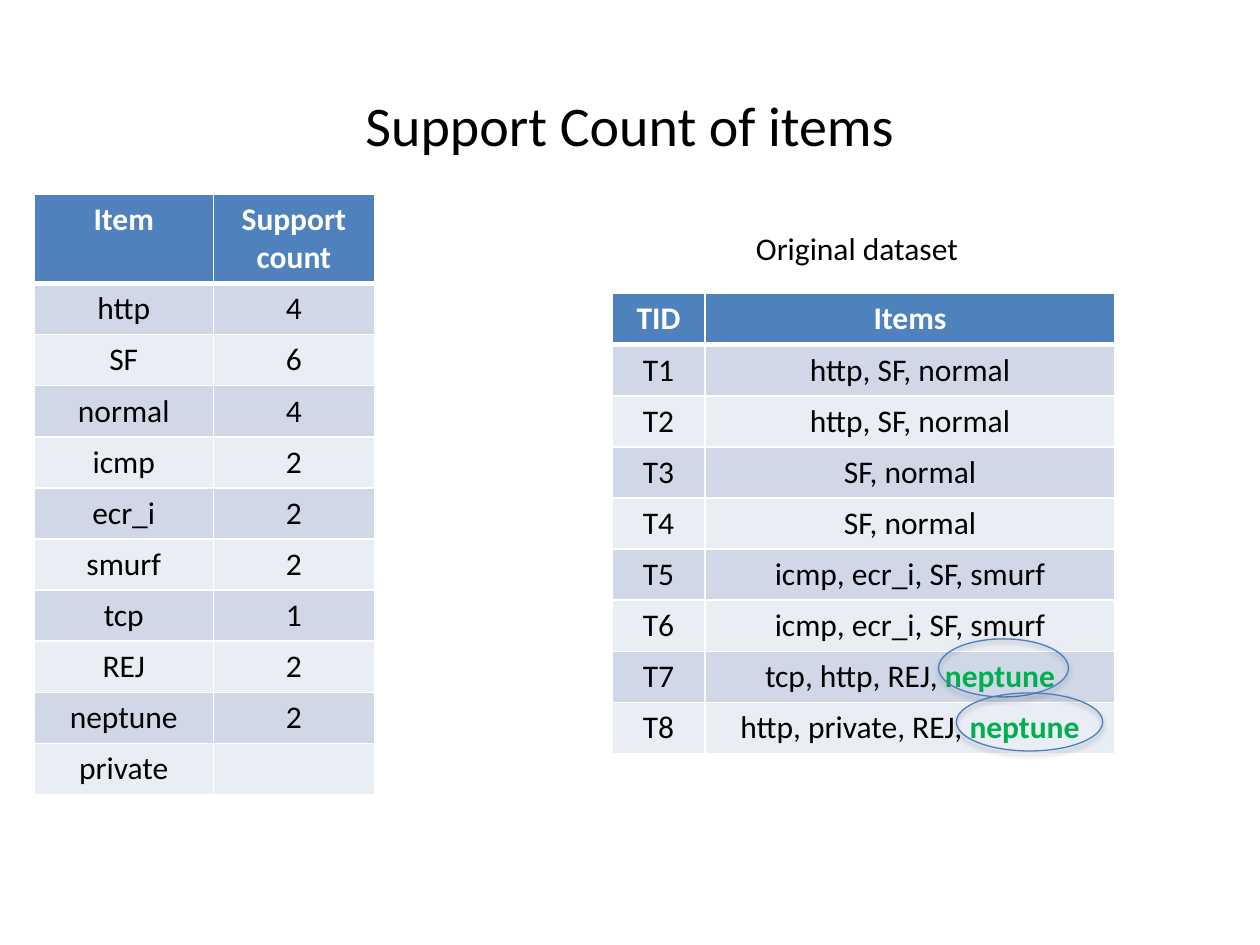
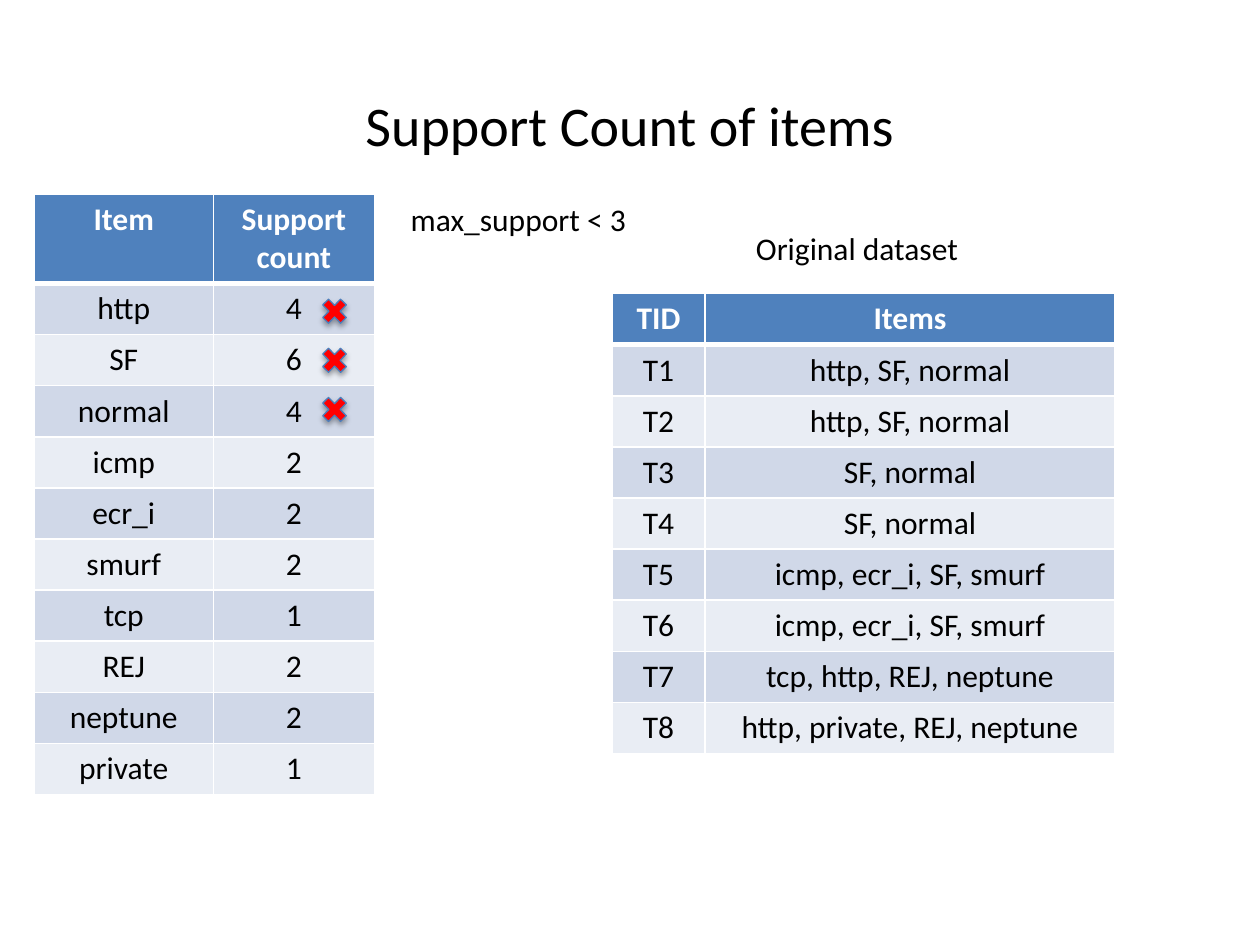
from dataclasses import dataclass
from typing import Any

from lxml.etree import SubElement
from pptx import Presentation
from pptx.dml.color import RGBColor
from pptx.enum.shapes import MSO_SHAPE
from pptx.enum.text import MSO_ANCHOR, MSO_AUTO_SIZE, PP_ALIGN
from pptx.oxml import parse_xml
from pptx.oxml.ns import nsdecls, qn
from pptx.util import Cm, Pt

# Shared look
BLACK, WHITE, RED, GREEN = "000000", "FFFFFF", "FF0000", "00B050"
HEADER_FILL, OUTLINE = "4F81BD", "4B7EBC"
BAND_FILLS = ("D0D8E8", "E9EDF4")
BODY = {"name": "Calibri", "size": Pt(18), "bold": False}
STRONG = BODY | {"bold": True}
HEADING = BODY | {"size": Pt(32)}
ROW_HEIGHT = 1.03
THIN, THICK = 1, 3


@dataclass(frozen=True)
class Grid:
    left: float
    top: float
    widths: tuple[float, ...]
    header_height: float
    rows: list[tuple[str, ...]]


@dataclass(frozen=True)
class Label:
    text: str
    left: float
    top: float
    width: float


@dataclass(frozen=True)
class Mark:
    shape: Any
    left: float
    top: float
    width: float
    height: float
    fill: str | None = None


# Content
TITLE = "Support Count of items"
SUPPORT_ROWS = [
    ("Item", "Support count"), ("http", "4"), ("SF", "6"), ("normal", "4"),
    ("icmp", "2"), ("ecr_i", "2"), ("smurf", "2"), ("tcp", "1"),
    ("REJ", "2"), ("neptune", "2"),
]
TRANSACTIONS = [
    "http, SF, normal", "http, SF, normal", "SF, normal", "SF, normal",
    "icmp, ecr_i, SF, smurf", "icmp, ecr_i, SF, smurf",
    "tcp, http, REJ, neptune", "http, private, REJ, neptune",
]
DATASET = Grid(
    12.34, 5.92, (1.87, 8.27), ROW_HEIGHT,
    [("TID", "Items")] + [(f"T{n}", items) for n, items in enumerate(TRANSACTIONS, 1)],
)
DATASET_LABEL = Label("Original dataset", 14.99, 4.5, 6.86)
THRESHOLD_LABEL = Label("max_support < 3", 8.03, 3.91, 5.08)
NEPTUNE_RINGS = [
    Mark(MSO_SHAPE.OVAL, 18.92, 12.88, 2.62, 1.17),
    Mark(MSO_SHAPE.OVAL, 19.28, 13.97, 2.95, 1.17),
]
REJECTED_CROSSES = [
    Mark(MSO_SHAPE.MATH_MULTIPLY, 6.4, 5.92 + 0.99 * row, 0.69, 0.71, RED)
    for row in range(3)
]


def colour(value: str) -> RGBColor:
    return RGBColor.from_string(value)


def add_span(para: Any, text: str, style: dict[str, Any], hue: str = BLACK) -> None:
    span = para.add_run()
    span.text = text
    for name, value in style.items():
        setattr(span.font, name, value)
    span.font.color.rgb = colour(hue)


def set_borders(cell: Any, top: int, bottom: int) -> None:
    properties = cell._tc.get_or_add_tcPr()
    borders = {"lnL": THIN, "lnR": THIN, "lnT": top, "lnB": bottom}
    for position, (tag, points) in enumerate(borders.items()):
        properties.insert(position, parse_xml(
            f'<a:{tag} {nsdecls("a")} w="{Pt(points)}"><a:solidFill>'
            f'<a:srgbClr val="{WHITE}"/></a:solidFill></a:{tag}>'))


def fill_cell(cell: Any, text: str, row: int, highlight: str) -> None:
    is_header = row == 0
    cell.fill.solid()
    cell.fill.fore_color.rgb = colour(HEADER_FILL if is_header else BAND_FILLS[(row - 1) % 2])
    set_borders(cell, THICK if row == 1 else THIN, THICK if is_header else THIN)
    para = cell.text_frame.paragraphs[0]
    para.alignment = PP_ALIGN.CENTER
    before, found, after = text.partition(highlight) if highlight else (text, "", "")
    style, hue = (STRONG, WHITE) if is_header else (BODY, BLACK)
    for part, part_style, part_hue in ((before, style, hue), (found, STRONG, GREEN), (after, style, hue)):
        if part:
            add_span(para, part, part_style, part_hue)


def add_grid(page: Any, grid: Grid, highlight: str = "") -> None:
    heights = [grid.header_height] + [ROW_HEIGHT] * (len(grid.rows) - 1)
    table = page.shapes.add_table(
        len(grid.rows), len(grid.widths), Cm(grid.left), Cm(grid.top),
        Cm(sum(grid.widths)), Cm(sum(heights))).table
    for column, width in zip(table.columns, grid.widths):
        column.width = Cm(width)
    for row, (texts, height) in enumerate(zip(grid.rows, heights)):
        table.rows[row].height = Cm(height)
        for column, text in enumerate(texts):
            fill_cell(table.cell(row, column), text, row, highlight)


def add_label(page: Any, label: Label) -> None:
    box = page.shapes.add_textbox(Cm(label.left), Cm(label.top), Cm(label.width), Cm(1.02))
    frame = box.text_frame
    frame.word_wrap = True
    frame.auto_size = MSO_AUTO_SIZE.SHAPE_TO_FIT_TEXT
    add_span(frame.paragraphs[0], label.text, BODY)


def add_mark(page: Any, mark: Mark) -> None:
    shape = page.shapes.add_shape(
        mark.shape, Cm(mark.left), Cm(mark.top), Cm(mark.width), Cm(mark.height))
    if mark.fill:
        shape.fill.solid()
        shape.fill.fore_color.rgb = colour(mark.fill)
    else:
        shape.fill.background()
    shape.line.color.rgb = colour(OUTLINE)
    shape.line.width = Pt(0.75)
    # Soft shadow straight below
    shape.shadow.inherit = False
    effects = shape._element.spPr.find(qn("a:effectLst"))
    shadow = SubElement(effects, qn("a:outerShdw"), blurRad=str(Pt(3.1)),
                        dist=str(Pt(1.8)), dir="5400000", rotWithShape="0")
    tone = SubElement(shadow, qn("a:srgbClr"), val=BLACK)
    SubElement(tone, qn("a:alpha"), val="35000")


def add_page(deck: Any, private_count: str, labels: list[Label],
             marks: list[Mark], highlight: str = "") -> None:
    page = deck.slides.add_slide(deck.slide_layouts[5])
    # Title
    title = page.shapes.title
    place = {"left": Cm(0), "top": Cm(1.68), "width": deck.slide_width, "height": Cm(1.63)}
    for name, value in place.items():
        setattr(title, name, value)
    title.text_frame.vertical_anchor = MSO_ANCHOR.MIDDLE
    para = title.text_frame.paragraphs[0]
    para.alignment = PP_ALIGN.CENTER
    add_span(para, TITLE, HEADING)
    # Tables
    support = Grid(0.69, 3.91, (3.61, 3.25), 1.78, SUPPORT_ROWS + [("private", private_count)])
    add_grid(page, support)
    add_grid(page, DATASET, highlight)
    # Labels and marks
    for label in labels:
        add_label(page, label)
    for mark in marks:
        add_mark(page, mark)


def main() -> None:
    deck = Presentation()
    deck.slide_width, deck.slide_height = Cm(25.4), Cm(19.05)
    add_page(deck, "", [DATASET_LABEL], NEPTUNE_RINGS, highlight="neptune")
    add_page(deck, "1", [DATASET_LABEL, THRESHOLD_LABEL], REJECTED_CROSSES)
    deck.save("out.pptx")


if __name__ == "__main__":
    main()
